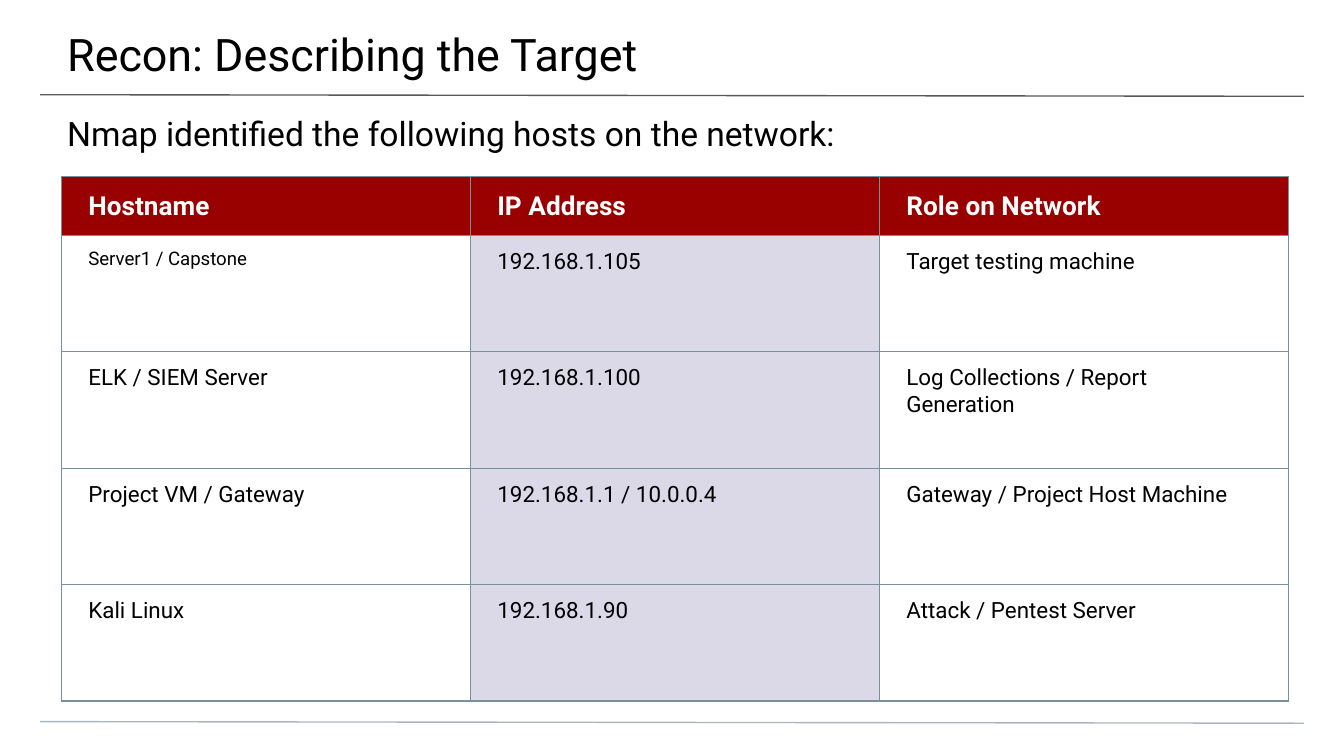
import pptx
import pptx.util
import pptx.dml.color
import pptx.enum.shapes
import pptx.enum.text
import pptx.oxml
import pptx.oxml.ns
import lxml.etree

Cm = pptx.util.Cm
Pt = pptx.util.Pt
RGBColor = pptx.dml.color.RGBColor
MSO_ANCHOR = pptx.enum.text.MSO_ANCHOR

BLACK = RGBColor(0x00, 0x00, 0x00)
WHITE = RGBColor(0xFF, 0xFF, 0xFF)
RED = RGBColor(0x99, 0x00, 0x00)
LILAC = RGBColor(0xDB, 0xD9, 0xE8)
SLATE = RGBColor(0x78, 0x90, 0x9C)
DARK_GRAY = RGBColor(0x59, 0x59, 0x59)
PALE_BLUE = RGBColor(0xA9, 0xB7, 0xC0)


def add_run(p, text, size, color, bold=False):
    p.alignment = pptx.enum.text.PP_ALIGN.LEFT
    r = p.add_run()
    r.text = text
    r.font.name = "Roboto"
    r.font.size = Pt(size)
    r.font.bold = bold
    r.font.color.rgb = color


def add_borders(cell):
    tcPr = cell._tc.get_or_add_tcPr()
    for side in ("lnL", "lnR", "lnT", "lnB"):
        tcPr.append(pptx.oxml.parse_xml(
            f'<a:{side} {pptx.oxml.ns.nsdecls("a")} w="{Pt(0.75)}">'
            f'<a:solidFill><a:srgbClr val="{SLATE}"/></a:solidFill></a:{side}>'))


prs = pptx.Presentation()
prs.slide_width = Cm(25.4)
prs.slide_height = Cm(14.29)
s = prs.slides.add_slide(prs.slide_layouts[0])

for y, color in ((1.79, DARK_GRAY), (13.64, PALE_BLUE)):
    line = s.shapes.add_connector(
        pptx.enum.shapes.MSO_CONNECTOR.STRAIGHT, Cm(0.76), Cm(y), Cm(24.64), Cm(y + 0.03))
    line.line.color.rgb = color
    line.line.width = Pt(0.75)
    lxml.etree.SubElement(line._element.spPr, pptx.oxml.ns.qn("a:effectLst"))

headings = [
    (s.shapes.title, "Recon: Describing the Target", 24, 0, 1.47, 0.51, 0.25),
    (s.placeholders[1], "Nmap identified the following hosts on the network:", 18, 1.88, 1.02, 0.25, 0),
]
for sp, text, size, top, height, inset_top, inset_bottom in headings:
    sp.left, sp.top, sp.width, sp.height = Cm(0), Cm(top), Cm(25.4), Cm(height)
    tf = sp.text_frame
    tf.word_wrap = True
    tf.auto_size = pptx.enum.text.MSO_AUTO_SIZE.NONE
    tf.vertical_anchor = MSO_ANCHOR.TOP
    tf.margin_left = tf.margin_right = Cm(1.27)
    tf.margin_top, tf.margin_bottom = Cm(inset_top), Cm(inset_bottom)
    p = tf.paragraphs[0]
    p.space_before = Pt(0)
    add_run(p, text, size, BLACK)

rows = [
    ("Hostname", "IP Address", "Role on Network"),
    ("Server1 / Capstone", "192.168.1.105", "Target testing machine"),
    ("ELK / SIEM Server", "192.168.1.100", "Log Collections / Report Generation"),
    ("Project VM / Gateway", "192.168.1.1 / 10.0.0.4", "Gateway / Project Host Machine"),
    ("Kali Linux", "192.168.1.90", "Attack / Pentest Server"),
]
header_height, row_height, col_width = 1.11, 2.2, 7.73
table = s.shapes.add_table(
    len(rows), 3, Cm(1.16), Cm(3.34), Cm(3 * col_width), Cm(header_height + 4 * row_height)).table
table.horz_banding = False
for col in table.columns:
    col.width = Cm(col_width)

for i, texts in enumerate(rows):
    header = i == 0
    table.rows[i].height = Cm(header_height if header else row_height)
    for j, text in enumerate(texts):
        cell = table.cell(i, j)
        cell.margin_left = cell.margin_right = Cm(0.51)
        cell.margin_top = cell.margin_bottom = Cm(0.25)
        cell.vertical_anchor = MSO_ANCHOR.MIDDLE if header else MSO_ANCHOR.TOP
        add_borders(cell)
        if header or j == 1:
            cell.fill.solid()
            cell.fill.fore_color.rgb = RED if header else LILAC
        else:
            cell.fill.background()
        size = 14 if header else 10 if (i, j) == (1, 0) else 12
        add_run(cell.text_frame.paragraphs[0], text, size, WHITE if header else BLACK, header)

prs.save("out.pptx")
